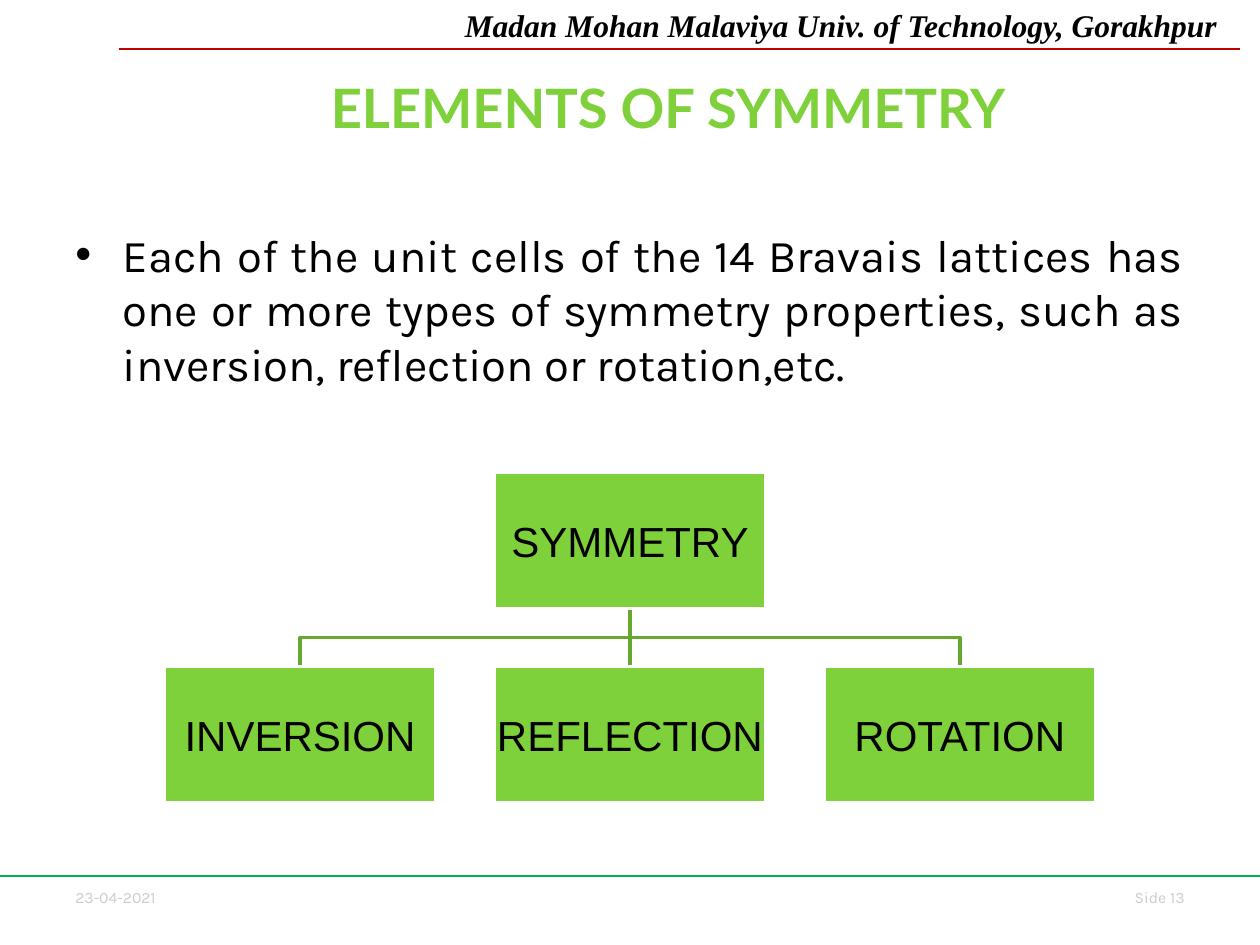
import pptx
import pptx.util
import pptx.dml.color
import pptx.enum.shapes
import pptx.enum.text
import lxml.etree
from pptx.util import Cm, Pt

ALIGN = pptx.enum.text.PP_ALIGN
ANCHOR = pptx.enum.text.MSO_ANCHOR
GREEN = "7FD13B"


def color(hex_value):
    return pptx.dml.color.RGBColor.from_string(hex_value)


def write(shape, text, font, size, ink="000000", bold=False, italic=False,
          align=ALIGN.LEFT, anchor=ANCHOR.TOP, inset=None, bullet_indent=None):
    """Fill the shape with one formatted paragraph; lengths are in cm."""
    frame = shape.text_frame
    frame.word_wrap = True
    frame.vertical_anchor = anchor
    if inset is not None:
        frame.margin_left = frame.margin_right = Cm(inset)
        frame.margin_top = frame.margin_bottom = Cm(inset)
    paragraph = frame.paragraphs[0]
    paragraph.alignment = align
    if bullet_indent:
        properties = paragraph._p.get_or_add_pPr()
        properties.set("marL", str(Cm(bullet_indent)))
        properties.set("indent", str(-Cm(bullet_indent)))
        for tag, attribute, value in (("buFont", "typeface", "Arial"), ("buChar", "char", "•")):
            mark = lxml.etree.SubElement(properties, pptx.oxml.ns.qn("a:" + tag))
            mark.set(attribute, value)
    run = paragraph.add_run()
    run.text = text
    run.font.name = font
    run.font.size = Pt(size)
    run.font.bold = bold
    run.font.italic = italic
    run.font.color.rgb = color(ink)


presentation = pptx.Presentation()
presentation.slide_width = Cm(25.4)
presentation.slide_height = Cm(19.05)
slide = presentation.slides.add_slide(presentation.slide_layouts[6])
shapes = slide.shapes

# Header and footer
date = shapes.add_textbox(Cm(1.27), Cm(17.78), Cm(2.62), Cm(0.64))
write(date, "23-04-2021", "Karla", 9, ink="CCCCCC")
page = shapes.add_textbox(Cm(22.02), Cm(17.78), Cm(2.11), Cm(0.64))
write(page, "Side 13", "Karla", 9, ink="CCCCCC", align=ALIGN.RIGHT)
university = shapes.add_textbox(Cm(9.12), Cm(0), Cm(16.28), Cm(1.02))
write(university, "Madan Mohan Malaviya Univ. of Technology, Gorakhpur",
      "Times New Roman", 18, bold=True, italic=True)

for start, end, height, ink in ((2.39, 24.99, 0.99, "C00000"), (0, 25.4, 17.66, "00B050")):
    rule = shapes.add_connector(pptx.enum.shapes.MSO_CONNECTOR.STRAIGHT,
                                Cm(start), Cm(height), Cm(end), Cm(height))
    rule.line.color.rgb = color(ink)
    rule.line.width = Pt(0.75)
    lxml.etree.SubElement(rule._element.spPr, pptx.oxml.ns.qn("a:effectLst"))

# Title and statement
title = shapes.add_textbox(Cm(2.9), Cm(1.14), Cm(21.13), Cm(1.8))
write(title, "ELEMENTS OF SYMMETRY", "Lato", 31, ink=GREEN, bold=True,
      align=ALIGN.CENTER, anchor=ANCHOR.BOTTOM)
statement = shapes.add_textbox(Cm(1.27), Cm(4.45), Cm(22.86), Cm(12.57))
write(statement, "Each of the unit cells of the 14 Bravais lattices has one or more types of "
      "symmetry properties, such as inversion, reflection or rotation,etc.",
      "Karla", 26, align=ALIGN.JUSTIFY, bullet_indent=0.95)

# Symmetry tree: one root above three evenly spaced kinds
box_width, box_height = 5.48, 2.74
root_center, column_step = 12.7, 6.65
root_top, kinds_top = 9.53, 13.44
root_bottom = root_top + box_height
branch_height = (root_bottom + kinds_top) / 2

kinds = [("INVERSION", root_center - column_step),
         ("REFLECTION", root_center),
         ("ROTATION", root_center + column_step)]

for _, center in kinds:
    bends = [(root_center, branch_height), (center, branch_height), (center, kinds_top)]
    if center == root_center:
        bends = bends[-1:]
    builder = shapes.build_freeform(Cm(root_center), Cm(root_bottom))
    builder.add_line_segments([(Cm(x), Cm(y)) for x, y in bends], close=False)
    branch = builder.convert_to_shape()
    branch.shadow.inherit = False
    branch.fill.background()
    branch.line.color.rgb = color("66A72F")
    branch.line.width = Pt(2)

nodes = [("SYMMETRY", root_center, root_top)]
nodes += [(label, center, kinds_top) for label, center in kinds]
for label, center, top in nodes:
    node = shapes.add_shape(pptx.enum.shapes.MSO_SHAPE.RECTANGLE, Cm(center - box_width / 2),
                            Cm(top), Cm(box_width), Cm(box_height))
    node.shadow.inherit = False
    node.fill.solid()
    node.fill.fore_color.rgb = color(GREEN)
    node.line.color.rgb = color("FFFFFF")
    node.line.width = Pt(2)
    write(node, label, "Arial", 24, align=ALIGN.CENTER, anchor=ANCHOR.MIDDLE, inset=0.04)

presentation.save("out.pptx")
